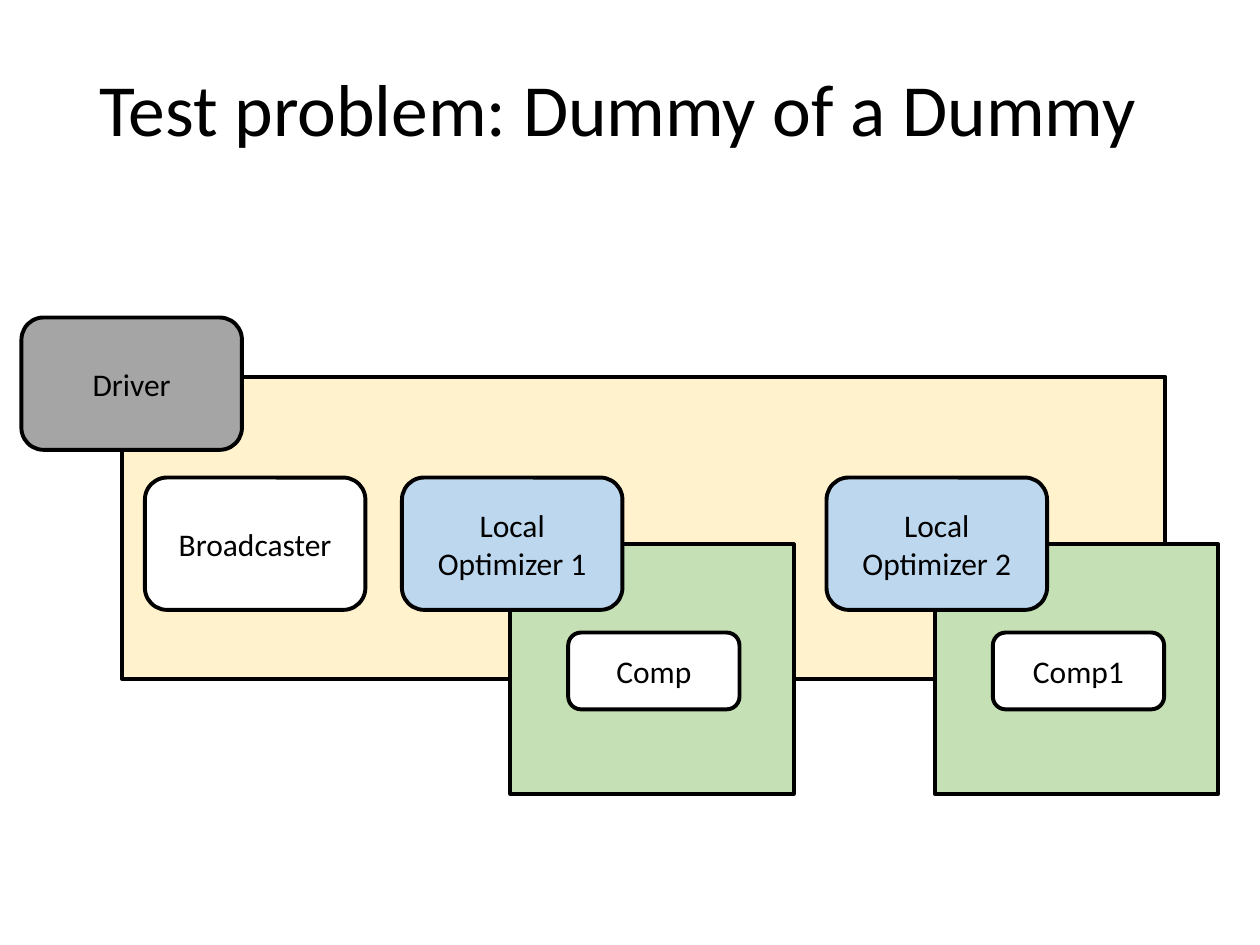
from dataclasses import dataclass

from pptx import Presentation
from pptx.dml.color import RGBColor
from pptx.enum.shapes import MSO_SHAPE
from pptx.enum.text import MSO_ANCHOR, PP_ALIGN
from pptx.util import Inches, Pt

RECT, ROUNDED = MSO_SHAPE.RECTANGLE, MSO_SHAPE.ROUNDED_RECTANGLE
MIDDLE = MSO_ANCHOR.MIDDLE
LEFT, CENTER = PP_ALIGN.LEFT, PP_ALIGN.CENTER

BLACK = RGBColor(0x00, 0x00, 0x00)
WHITE = RGBColor(0xFF, 0xFF, 0xFF)
GRAY = RGBColor(0xA5, 0xA5, 0xA5)
CREAM = RGBColor(0xFF, 0xF2, 0xCC)
GREEN = RGBColor(0xC5, 0xE0, 0xB4)
BLUE = RGBColor(0xBD, 0xD7, 0xEE)

FONT = "Calibri"
NODE_SIZE = (1.75, 1.05)
COMP_SIZE = (1.36, 0.61)
SUBPROBLEM_SIZE = (2.25, 1.98)
NODE_TOP = 3.79
SUBPROBLEM_PITCH = 3.37


@dataclass
class Block:
    left: float
    top: float
    size: tuple[float, float]
    fill: RGBColor
    label: str = ""


def write_text(frame, text: str, size: float, align: PP_ALIGN) -> None:
    frame.text = text
    frame.word_wrap = True
    frame.vertical_anchor = MIDDLE
    paragraph = frame.paragraphs[0]
    paragraph.alignment = align
    font = paragraph.runs[0].font
    for attribute, value in {"name": FONT, "size": Pt(size)}.items():
        setattr(font, attribute, value)
    font.color.rgb = BLACK


def draw_block(slide, block: Block) -> None:
    """Labelled blocks are rounded; containers are plain rectangles."""
    outline = ROUNDED if block.label else RECT
    box = slide.shapes.add_shape(
        outline, *map(Inches, (block.left, block.top, *block.size)))
    box.shadow.inherit = False
    box.fill.solid()
    box.fill.fore_color.rgb = block.fill
    box.line.color.rgb = BLACK
    box.line.width = Pt(2.25)
    if block.label:
        write_text(box.text_frame, block.label, 18, CENTER)


def draw_title(slide, text: str) -> None:
    title = slide.shapes.title
    placement = {"left": 0.69, "top": 0.4, "width": 8.62, "height": 0.99}
    for attribute, value in placement.items():
        setattr(title, attribute, Inches(value))
    write_text(title.text_frame, text, 42, LEFT)
    title.text_frame.paragraphs[0].line_spacing = 0.9


def subproblem(index: int, comp: str) -> list[Block]:
    """A local optimizer on the corner of its container, with one component."""
    shift = index * SUBPROBLEM_PITCH
    return [
        Block(4.05 + shift, 4.32, SUBPROBLEM_SIZE, GREEN),
        Block(3.19 + shift, NODE_TOP, NODE_SIZE, BLUE,
              f"Local Optimizer {index + 1}"),
        Block(4.51 + shift, 5.02, COMP_SIZE, WHITE, comp),
    ]


def main() -> None:
    prs = Presentation()
    prs.slide_width, prs.slide_height = Inches(10), Inches(7.5)
    slide = prs.slides.add_slide(prs.slide_layouts[5])
    draw_title(slide, "Test problem: Dummy of a Dummy")

    # Top-level problem, its driver and the broadcaster
    blocks = [
        Block(0.97, 2.99, (8.28, 2.4), CREAM),
        Block(0.17, 2.52, NODE_SIZE, GRAY, "Driver"),
        Block(1.15, NODE_TOP, NODE_SIZE, WHITE, "Broadcaster"),
    ]
    # Nested subproblems
    for index, comp in enumerate(("Comp", "Comp1")):
        blocks += subproblem(index, comp)

    for block in blocks:
        draw_block(slide, block)
    prs.save("out.pptx")


if __name__ == "__main__":
    main()
